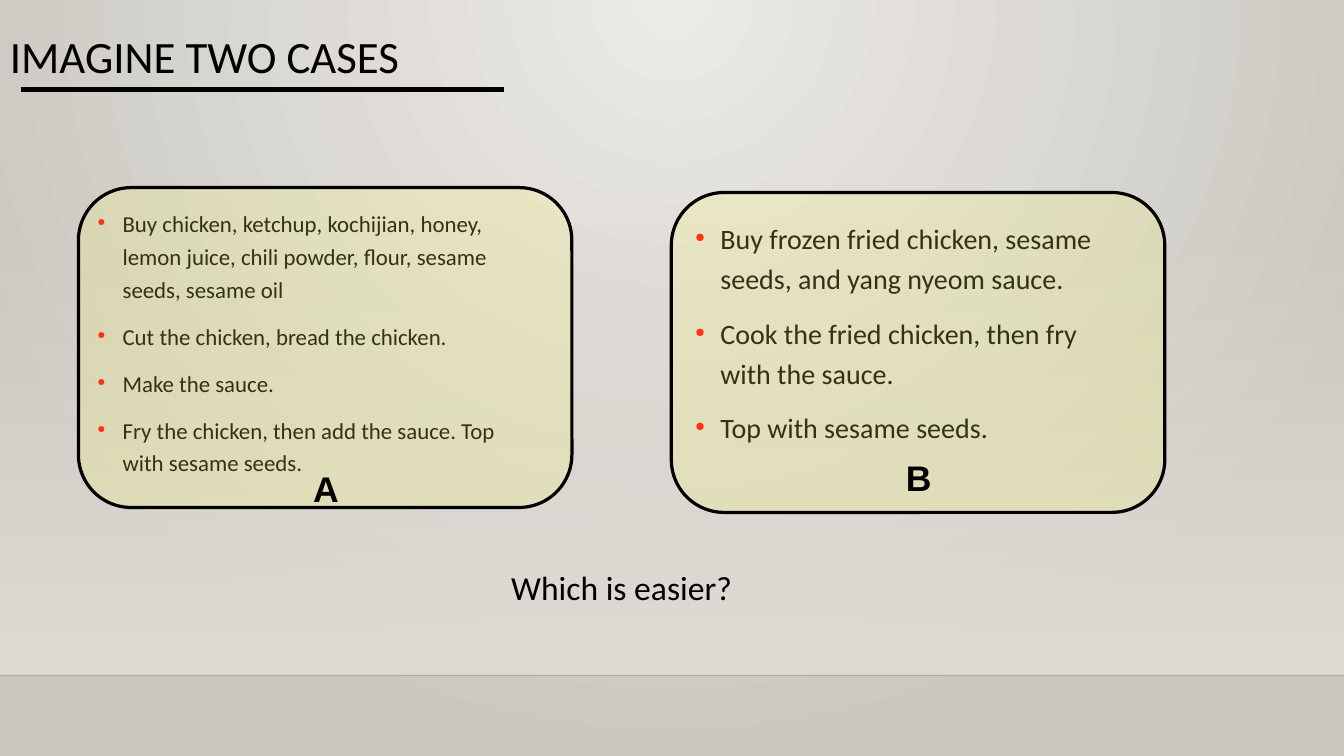
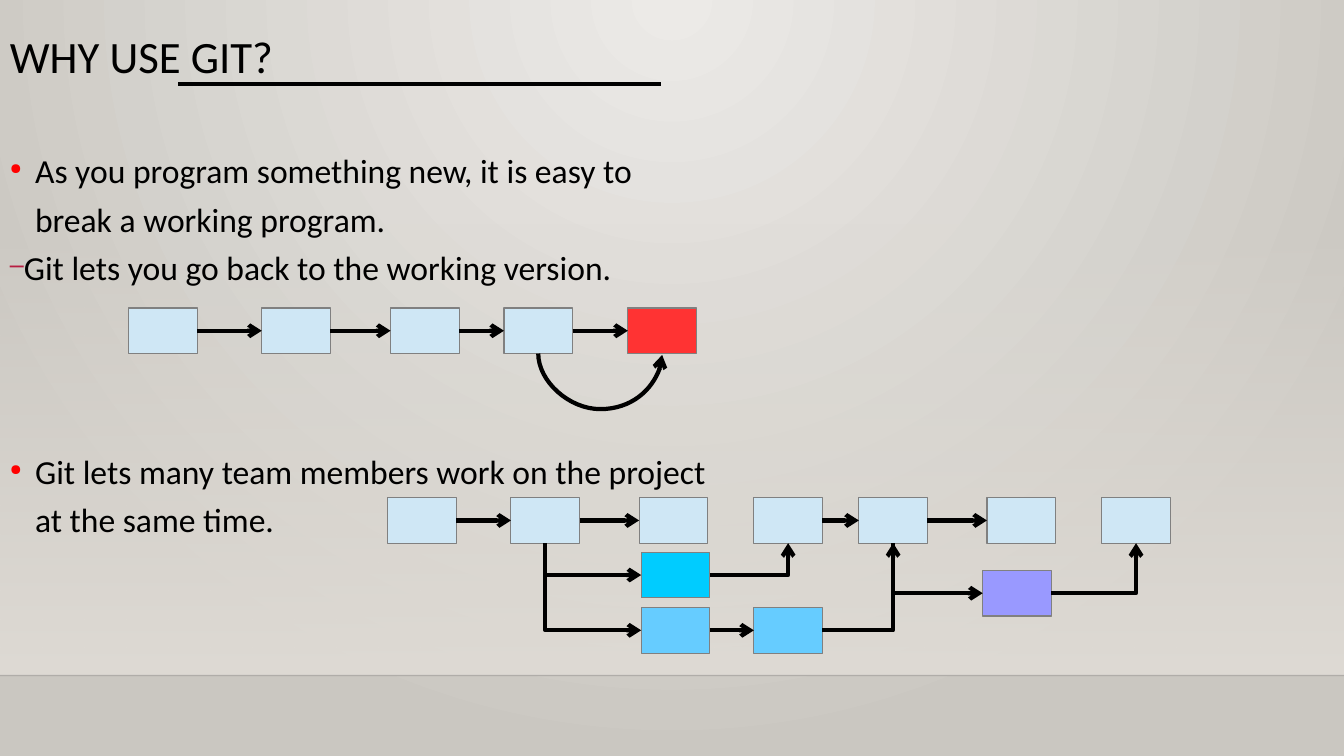
from lxml import etree
from pptx import Presentation
from pptx.dml.color import RGBColor
from pptx.enum.shapes import MSO_CONNECTOR, MSO_SHAPE
from pptx.enum.text import PP_ALIGN
from pptx.oxml.ns import qn
from pptx.util import Pt

STRAIGHT, ELBOW, CURVE = MSO_CONNECTOR.STRAIGHT, MSO_CONNECTOR.ELBOW, MSO_CONNECTOR.CURVE
RECTANGLE, ROUNDED = MSO_SHAPE.RECTANGLE, MSO_SHAPE.ROUNDED_RECTANGLE
LEFT, CENTER = PP_ALIGN.LEFT, PP_ALIGN.CENTER
BOTTOM_SIDE, LEFT_SIDE, RIGHT_SIDE = 2, 1, 3
WIDTH, HEIGHT = 960, 540

COLORS = {
    "ink": "000000", "floor_line": "000001", "glow": "ECEAE7", "edge": "CAC7C1",
    "band": "DFDBD5", "bullet": "FF0000", "dash": "B71E42", "card": "FFFF66",
    "commit": "CFE7F5", "broken": "FF3333", "outline": "808080",
    "feature": "00CCFF", "member": "66CCFF", "late": "9999FF",
}
COLORS_RGB = {name: RGBColor.from_string(value) for name, value in COLORS.items()}

DOT = {"bullet": "●", "bullet_color": "bullet", "bullet_size": 45, "indent": 18}
DASH = {"bullet": "–", "bullet_color": "dash", "bullet_size": 75, "indent": 0, "before": 0}


def write(page, area, paragraphs, **shared):
    """Add a text box; a paragraph is a text or a pair of text and own format."""
    box = page.shapes.add_textbox(*map(Pt, area))
    frame = box.text_frame
    frame.word_wrap = shared.get("wrap", True)
    for number, item in enumerate(paragraphs):
        text, own = (item, {}) if isinstance(item, str) else item
        form = {**shared, **own}
        para = frame.paragraphs[0] if number == 0 else frame.add_paragraph()
        para.alignment = form.get("align", LEFT)
        para.line_spacing = form.get("spacing", 1.2)
        para.space_before = Pt(form.get("before", 10) if number else 0)
        if "bullet" in form:
            settings = para._p.get_or_add_pPr()
            settings.set("marL", str(Pt(form["indent"])))
            settings.set("indent", str(-Pt(form["indent"])))
            tint = etree.SubElement(settings, qn("a:buClr"))
            etree.SubElement(tint, qn("a:srgbClr"), val=COLORS[form["bullet_color"]])
            etree.SubElement(settings, qn("a:buSzPct"), val=str(form["bullet_size"] * 1000))
            etree.SubElement(settings, qn("a:buChar"), char=form["bullet"])
        span = para.add_run()
        span.text = text
        span.font.name = form.get("font", "Calibri")
        span.font.size = Pt(form["size"])
        span.font.bold = form.get("bold", False)
        span.font.color.rgb = COLORS_RGB["ink"]


def draw_line(page, kind, points=(0, 0, 0, 0), joins=None, arrow=None, color="ink", width=3):
    """Draw a line between points, or join it to the sides of two boxes."""
    line = page.shapes.add_connector(kind, *map(Pt, points))
    if joins:
        line.begin_connect(*joins[0])
        line.end_connect(*joins[1])
    line.line.color.rgb = COLORS_RGB[color]
    line.line.width = Pt(width)
    properties = line._element.spPr
    if kind == ELBOW:
        properties.find(qn("a:prstGeom")).set("prst", "bentConnector2")
    if arrow:
        etree.SubElement(properties.find(qn("a:ln")), qn("a:" + arrow), type="arrow")
    etree.SubElement(properties, qn("a:effectLst"))
    return line


deck = Presentation()
deck.slide_width, deck.slide_height = Pt(WIDTH), Pt(HEIGHT)

# Shared background: a glow from the top centre
backdrop = deck.slide_master.background.fill
backdrop.gradient()
for stop, name in zip(backdrop.gradient_stops, ("glow", "edge")):
    stop.color.rgb = COLORS_RGB[name]
gradient = next(deck.slide_master._element.iter(qn("a:gradFill")))
gradient.remove(gradient.find(qn("a:lin")))
spread = etree.Element(qn("a:path"), path="circle")
etree.SubElement(spread, qn("a:fillToRect"), l="43000", t="0", r="43000", b="100000")
gradient.find(qn("a:gsLst")).addnext(spread)

# Shared band, floor line, title and title rule
pages = []
for title, rule_left, rule_top in (("IMAGINE TWO CASES", 15, 64), ("WHY USE GIT?", 127.5, 60)):
    page = deck.slides.add_slide(deck.slide_layouts[6])
    pages.append(page)
    band = page.shapes.add_shape(RECTANGLE, 0, Pt(159), Pt(WIDTH), Pt(323.5))
    band.shadow.inherit = False
    band.line.fill.background()
    band.fill.gradient()
    band.fill.gradient_angle = 270
    for stop in band.fill.gradient_stops:
        stop.color.rgb = COLORS_RGB["band"]
    clear = next(band._element.spPr.iter(qn("a:srgbClr")))
    etree.SubElement(clear, qn("a:alpha"), val="0")
    floor = draw_line(page, STRAIGHT, (0, 482.5, WIDTH, 482.5), color="floor_line", width=1)
    faint = next(floor._element.spPr.iter(qn("a:srgbClr")))
    etree.SubElement(faint, qn("a:alpha"), val="20000")
    write(page, (0, 21.5, 648, 42.5), [title], size=32, spacing=0.9)
    draw_line(page, STRAIGHT, (rule_left, rule_top, rule_left + 345, rule_top))

cases_page, git_page = pages

# Two cases: steps under a tinted card, with a letter on top
cases = [
    ("A", (56, 134), (62.5, 142.5), (216.5, 330), 16.3, [
        "Buy chicken, ketchup, kochijian, honey, lemon juice, chili powder, flour, "
        "sesame seeds, sesame oil",
        "Cut the chicken, bread the chicken.",
        "Make the sauce.",
        "Fry the chicken, then add the sauce. Top with sesame seeds."]),
    ("B", (479.5, 137.5), (489.5, 150), (640, 322.5), 20, [
        "Buy frozen fried chicken, sesame seeds, and yang nyeom sauce.",
        "Cook the fried chicken, then fry with the sauce.",
        "Top with sesame seeds."]),
]
for letter, card_at, steps_at, letter_at, size, steps in cases:
    write(cases_page, (*steps_at, 316, 200), steps, size=size, **DOT)
    card = cases_page.shapes.add_shape(ROUNDED, *map(Pt, (*card_at, 352.5, 228.5)))
    card.shadow.inherit = False
    card.adjustments[0] = 0.165
    card.fill.solid()
    card.fill.fore_color.rgb = COLORS_RGB["card"]
    tint = next(card._element.spPr.iter(qn("a:srgbClr")))
    etree.SubElement(tint, qn("a:alpha"), val="20000")
    card.line.color.rgb = COLORS_RGB["ink"]
    card.line.width = Pt(2.3)
    write(cases_page, (*letter_at, 31.5, 36), [letter], size=25.4, font="Arial",
          bold=True, spacing=1, wrap=False)
write(cases_page, (120, 395.5, 648, 49.5), ["Which is easier?"], size=24, align=CENTER)

# Reasons to use Git
write(git_page, (0, 98, 517.5, 271.5), [
    ("As you program something new, it is easy to break a working program.", DOT),
    ("Git lets you go back to the working version.", DASH),
    ("Git lets many team members work on the project at the same time.",
     {**DOT, "before": 111}),
], size=24)

# Commit boxes of both diagrams
commit_rows = {
    "history": (220, "commit", (92, 187, 279, 360)),
    "broken": (220, "broken", (448.5,)),
    "main": (355.5, "commit", (277, 365, 456.5, 538.5, 613.5, 705, 787)),
    "feature": (394.5, "feature", (458,)),
    "member": (434, "member", (458, 538.5)),
    "late": (407.5, "late", (702,)),
}
commits = {}
for row, (top, color, lefts) in commit_rows.items():
    commits[row] = []
    for left in lefts:
        commit = git_page.shapes.add_shape(RECTANGLE, *map(Pt, (left, top, 49, 32.5)))
        commit.shadow.inherit = False
        commit.fill.solid()
        commit.fill.fore_color.rgb = COLORS_RGB[color]
        commit.line.color.rgb = COLORS_RGB["outline"]
        commit.line.width = Pt(0)
        commits[row].append(commit)
history = commits["history"] + commits["broken"]
main, member = commits["main"], commits["member"]
feature, late = commits["feature"][0], commits["late"][0]

# Straight arrows from commit to commit
steps = list(zip(history, history[1:]))
steps += [(main[i], main[i + 1]) for i in (0, 1, 3, 4)] + [tuple(member)]
for begin, end in steps:
    draw_line(git_page, STRAIGHT, joins=((begin, RIGHT_SIDE), (end, LEFT_SIDE)), arrow="tailEnd")

# Branches leave the main row, merges return to it
for branch, source in ((feature, main[1]), (member[0], main[1]), (late, main[4])):
    draw_line(git_page, ELBOW, joins=((branch, LEFT_SIDE), (source, BOTTOM_SIDE)),
              arrow="headEnd")
for branch, target in ((feature, main[3]), (member[1], main[4]), (late, main[6])):
    draw_line(git_page, ELBOW, joins=((branch, RIGHT_SIDE), (target, BOTTOM_SIDE)),
              arrow="tailEnd")

# Curved arrow back to the last working commit
undo = draw_line(git_page, CURVE, joins=((history[4], BOTTOM_SIDE), (history[3], BOTTOM_SIDE)),
                 arrow="tailEnd")
undo.left, undo.top, undo.width, undo.height = map(Pt, (428.25, 208.75, 1, 88.5))
turn = undo._element.spPr.find(qn("a:xfrm"))
turn.attrib.pop("flipH", None)
turn.set("rot", "5400000")
bend = undo._element.spPr.find(qn("a:prstGeom")).find(qn("a:avLst"))
etree.SubElement(bend, qn("a:gd"), name="adj1", fmla="val 4000000")

deck.save("out.pptx")
